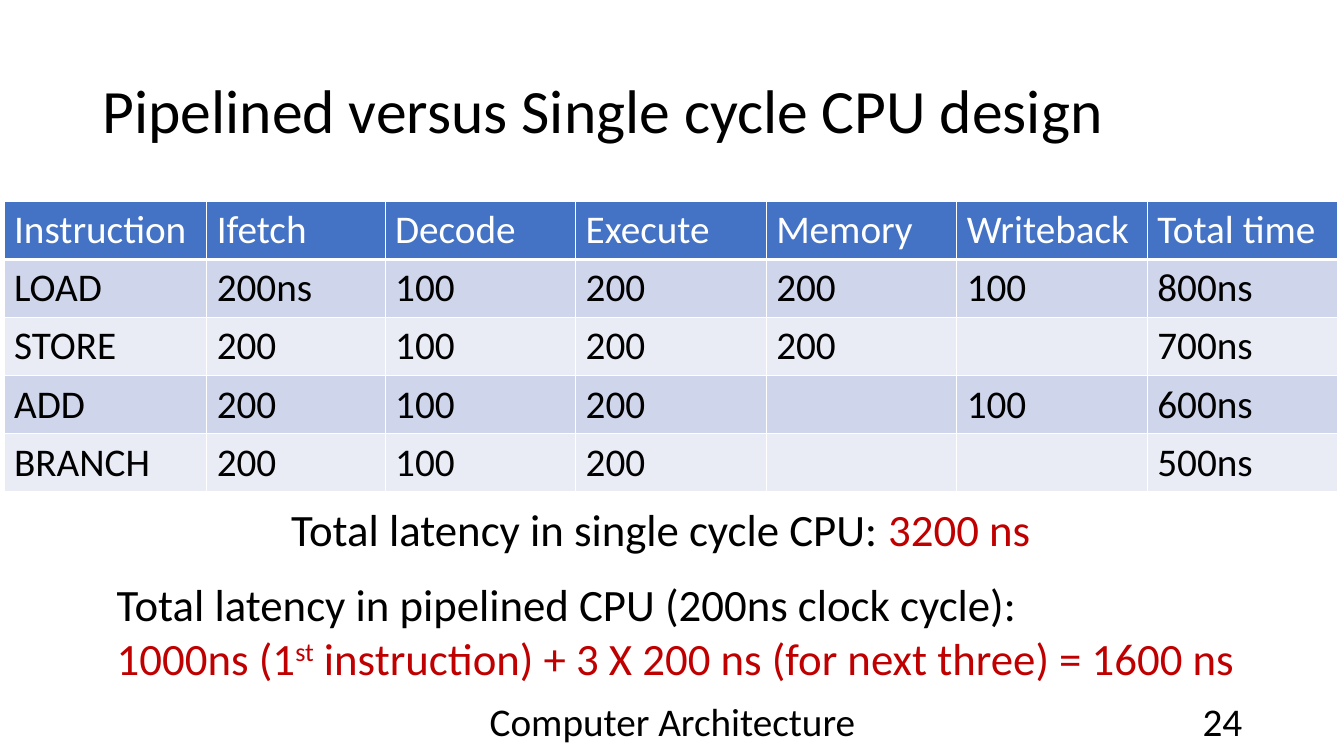
import pptx
import pptx.dml.color
import pptx.enum.text
import pptx.util
from lxml import etree
from pptx.util import Inches

ANCHOR = pptx.enum.text.MSO_ANCHOR
ALIGN = pptx.enum.text.PP_ALIGN
AUTO_SIZE = pptx.enum.text.MSO_AUTO_SIZE
DRAWING_NS = "http://schemas.openxmlformats.org/drawingml/2006/main"

BLACK, WHITE, RED = "000000", "FFFFFF", "C00000"
HEADER_BLUE = "4472C4"
BANDS = ("CFD5EA", "E9EBF5")


def rgb(hex_string):
    return pptx.dml.color.RGBColor.from_string(hex_string)


class SlideBuilder:
    def __init__(self, slide, font="Calibri"):
        self.slide = slide
        self.font = font

    def style_run(self, run, size, color):
        run.font.name = self.font
        run.font.size = pptx.util.Pt(size)
        run.font.bold = False
        run.font.color.rgb = rgb(color)

    def text(self, box, paragraphs, size, align=ALIGN.LEFT, anchor=ANCHOR.TOP,
             wrap=True, line_spacing=None):
        """Each paragraph is a list of (text, color, superscript percent)."""
        frame = self.slide.shapes.add_textbox(*map(Inches, box)).text_frame
        frame.word_wrap = wrap
        frame.auto_size = AUTO_SIZE.NONE if wrap else AUTO_SIZE.SHAPE_TO_FIT_TEXT
        frame.vertical_anchor = anchor
        for index, pieces in enumerate(paragraphs):
            paragraph = frame.add_paragraph() if index else frame.paragraphs[0]
            paragraph.alignment = align
            if line_spacing:
                paragraph.line_spacing = line_spacing
            for words, color, raised in pieces:
                run = paragraph.add_run()
                run.text = words
                self.style_run(run, size, color)
                if raised:
                    run.font._element.set("baseline", str(raised * 1000))

    def cell_borders(self, cell, widths):
        properties = cell._tc.get_or_add_tcPr()
        for index, (side, width) in enumerate(widths.items()):
            line = etree.Element(f"{{{DRAWING_NS}}}ln{side}",
                                 w=str(pptx.util.Pt(width)))
            fill = etree.SubElement(line, f"{{{DRAWING_NS}}}solidFill")
            etree.SubElement(fill, f"{{{DRAWING_NS}}}srgbClr", val=WHITE)
            properties.insert(index, line)

    def table(self, left, top, column_widths, row_height, rows, size):
        table = self.slide.shapes.add_table(
            len(rows), len(column_widths), Inches(left), Inches(top),
            Inches(sum(column_widths)), Inches(row_height * len(rows))).table
        for column, width in zip(table.columns, column_widths):
            column.width = Inches(width)
        for r, values in enumerate(rows):
            header = r == 0
            for c, value in enumerate(values):
                cell = table.cell(r, c)
                cell.fill.solid()
                cell.fill.fore_color.rgb = rgb(HEADER_BLUE if header else BANDS[(r - 1) % 2])
                self.cell_borders(cell, {"L": 1, "R": 1, "T": 1, "B": 3 if header else 1})
                cell.text_frame.text = value
                paragraph = cell.text_frame.paragraphs[0]
                paragraph.font.size = pptx.util.Pt(size)
                for run in paragraph.runs:
                    self.style_run(run, size, WHITE if header else BLACK)


def main():
    presentation = pptx.Presentation()
    presentation.slide_width = Inches(13.33)
    presentation.slide_height = Inches(7.5)
    builder = SlideBuilder(presentation.slides.add_slide(presentation.slide_layouts[6]))

    # Title
    builder.text((0.92, 0.4, 11.5, 1.45),
                 [[("Pipelined versus Single cycle CPU design", BLACK, 0)]],
                 44, anchor=ANCHOR.MIDDLE, line_spacing=0.9)

    # Stage times per instruction
    stage_times = [
        ("Instruction", "Ifetch", "Decode", "Execute", "Memory", "Writeback", "Total time"),
        ("LOAD", "200ns", "100", "200", "200", "100", "800ns"),
        ("STORE", "200", "100", "200", "200", "", "700ns"),
        ("ADD", "200", "100", "200", "", "100", "600ns"),
        ("BRANCH", "200", "100", "200", "", "", "500ns"),
    ]
    builder.table(0.04, 2, [2.01, 1.77] + [1.89] * 5, 0.57, stage_times, 28)

    # Footer and slide number
    for left, width, words, align in ((4.42, 4.5, "Computer Architecture", ALIGN.CENTER),
                                      (9.42, 3, "24", ALIGN.RIGHT)):
        builder.text((left, 6.95, width, 0.4), [[(words, BLACK, 0)]], 28,
                     align=align, anchor=ANCHOR.MIDDLE)

    # Latency totals
    builder.text((2.79, 4.93, 7.71, 0.64),
                 [[("Total latency in single cycle CPU: ", BLACK, 0), ("3200 ns", RED, 0)]],
                 32, wrap=False)
    builder.text((1.06, 5.67, 11.64, 1.18),
                 [[("Total latency in pipelined CPU (200ns clock cycle):", BLACK, 0)],
                  [("1000ns (1", RED, 0), ("st", RED, 30),
                   (" instruction) + 3 X 200 ns (for next three) = 1600 ns", RED, 0)]],
                 32, wrap=False)

    presentation.save("out.pptx")


if __name__ == "__main__":
    main()
